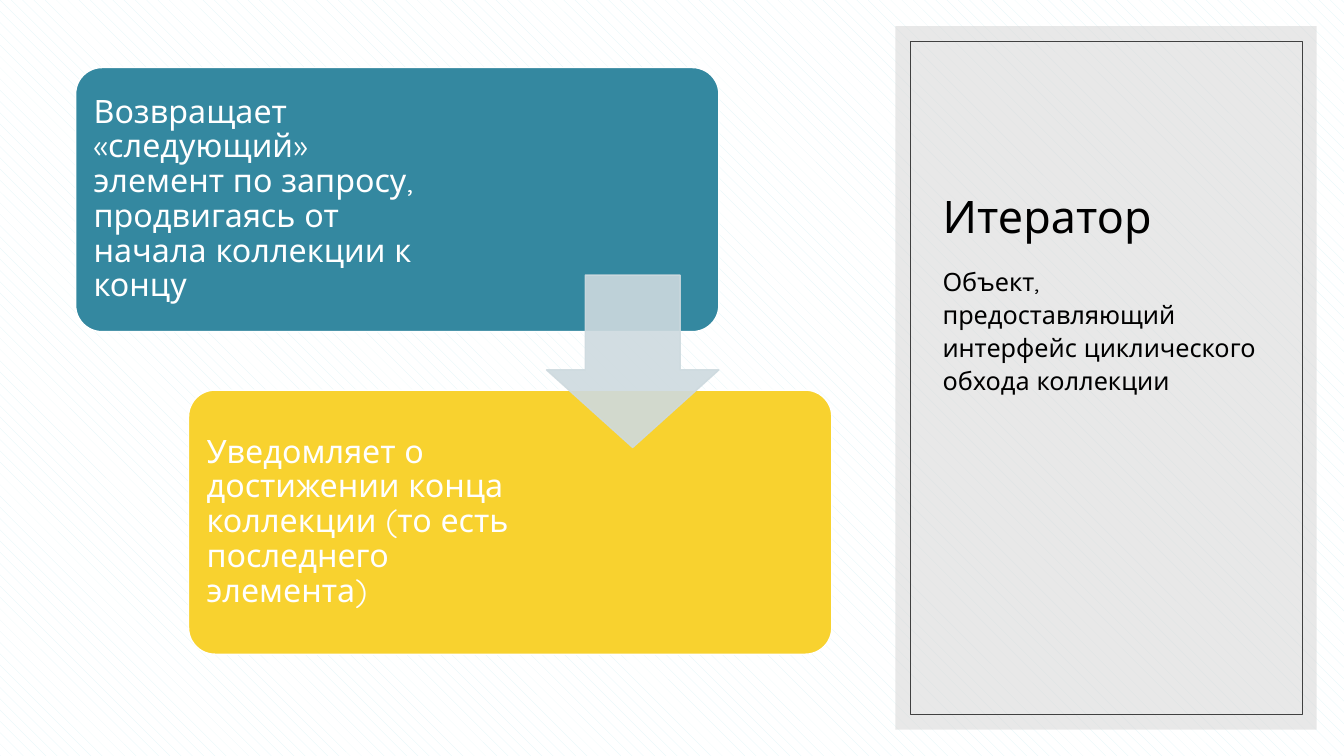
from dataclasses import dataclass, field

from lxml.etree import SubElement
from pptx import Presentation
from pptx.dml.color import RGBColor
from pptx.dml.fill import FillFormat
from pptx.enum.dml import MSO_PATTERN
from pptx.enum.shapes import MSO_SHAPE
from pptx.enum.text import MSO_ANCHOR, MSO_AUTO_SIZE, PP_ALIGN
from pptx.oxml.ns import qn
from pptx.shapes.autoshape import Shape
from pptx.slide import Slide
from pptx.util import Inches, Pt

FONT = "Quicksand"
WHITE, BLACK = "FFFFFF", "000000"
BOX_W, BOX_H, BOX_PAD = 6.38, 2.62, 0.08


@dataclass
class Block:
    kind: MSO_SHAPE
    at: tuple[float, float, float, float]
    fill: str | None = None
    line: str | None = None
    width: float = 1
    opacity: int = 100
    adjust: tuple[float, ...] = ()


@dataclass
class Label:
    text: str
    at: tuple[float, float, float, float]
    size: int
    color: str = BLACK
    frame: dict = field(default_factory=dict)
    para: dict = field(default_factory=dict)


@dataclass
class Step:
    text: str
    left: float
    top: float
    text_width: float
    color: str


def rgb(color: str) -> RGBColor:
    return RGBColor.from_string(color)


def paint(fill: FillFormat, color: str | None, opacity: int) -> None:
    if color is None:
        fill.background()
        return
    fill.solid()
    fill.fore_color.rgb = rgb(color)


def draw_block(s: Slide, block: Block) -> None:
    sp = s.shapes.add_shape(block.kind, *map(Inches, block.at))
    sp.shadow.inherit = False
    for i, value in enumerate(block.adjust):
        sp.adjustments[i] = value
    paint(sp.fill, block.fill, block.opacity)
    paint(sp.line.fill, block.line, block.opacity)
    if block.line:
        sp.line.width = Pt(block.width)
    if block.opacity < 100:
        for clr in sp.element.spPr.iter(qn("a:srgbClr")):
            SubElement(clr, qn("a:alpha"), val=str(block.opacity * 1000))


def write_label(sp: Shape, label: Label) -> None:
    sp.left, sp.top, sp.width, sp.height = map(Inches, label.at)
    tf = sp.text_frame
    tf.text = label.text
    p = tf.paragraphs[0]
    r = p.runs[0]
    frame = {"word_wrap": True, "auto_size": MSO_AUTO_SIZE.NONE} | label.frame
    para = {"alignment": PP_ALIGN.LEFT} | label.para
    font = {"name": FONT, "size": Pt(label.size)}
    for target, formats in ((tf, frame), (p, para), (r.font, font)):
        for name, value in formats.items():
            setattr(target, name, value)
    r.font.color.rgb = rgb(label.color)


def add_label(s: Slide, label: Label) -> None:
    write_label(s.shapes.add_textbox(0, 0, 0, 0), label)


def draw_step(s: Slide, step: Step) -> None:
    draw_block(s, Block(MSO_SHAPE.ROUNDED_RECTANGLE, (step.left, step.top, BOX_W, BOX_H),
                        step.color, WHITE, adjust=(0.1,)))
    inset = Inches(0.1)
    add_label(s, Label(
        step.text,
        (step.left + BOX_PAD, step.top + BOX_PAD, step.text_width, BOX_H - 2 * BOX_PAD),
        23, WHITE,
        {"vertical_anchor": MSO_ANCHOR.MIDDLE, "margin_left": inset, "margin_right": inset,
         "margin_top": inset, "margin_bottom": inset},
        {"line_spacing": 0.9}))


PANEL = (
    Block(MSO_SHAPE.RECTANGLE, (8.88, 0.26, 4.18, 6.98), "D9D9D9", opacity=60),
    Block(MSO_SHAPE.RECTANGLE, (9.03, 0.41, 3.89, 6.68), line="404040", width=0.5),
)
TITLE = Label("Итератор", (9.25, 0.66, 3.46, 1.8), 32,
              frame={"vertical_anchor": MSO_ANCHOR.BOTTOM})
SUMMARY = Label("Объект, предоставляющий интерфейс циклического обхода коллекции",
                (9.25, 2.56, 3.46, 3.94), 18,
                para={"line_spacing": 1.1, "space_before": Pt(8)})
STEPS = (
    Step("Возвращает «следующий» элемент по запросу, продвигаясь от начала коллекции к концу",
         0.75, 0.67, 3.66, "3488A0"),
    Step("Уведомляет о достижении конца коллекции (то есть последнего элемента)",
         1.87, 3.87, 3.39, "F8D22F"),
)
ARROW = Block(MSO_SHAPE.DOWN_ARROW, (5.42, 2.73, 1.71, 1.71), "CEDADF", "CEDADF",
              opacity=90, adjust=(0.55, 0.45))

prs = Presentation()
prs.slide_width, prs.slide_height = Inches(13.33), Inches(7.5)
s = prs.slides.add_slide(prs.slide_layouts[5])
bg = s.background.fill
bg.patterned()
bg.pattern = MSO_PATTERN.SHINGLE
bg.fore_color.rgb = rgb("DEF4F7")
bg.back_color.rgb = rgb(WHITE)

for block in PANEL:
    draw_block(s, block)
title = s.shapes.title
s.shapes.element.append(title.element)
write_label(title, TITLE)
add_label(s, SUMMARY)
for step in STEPS:
    draw_step(s, step)
draw_block(s, ARROW)

prs.save("out.pptx")
